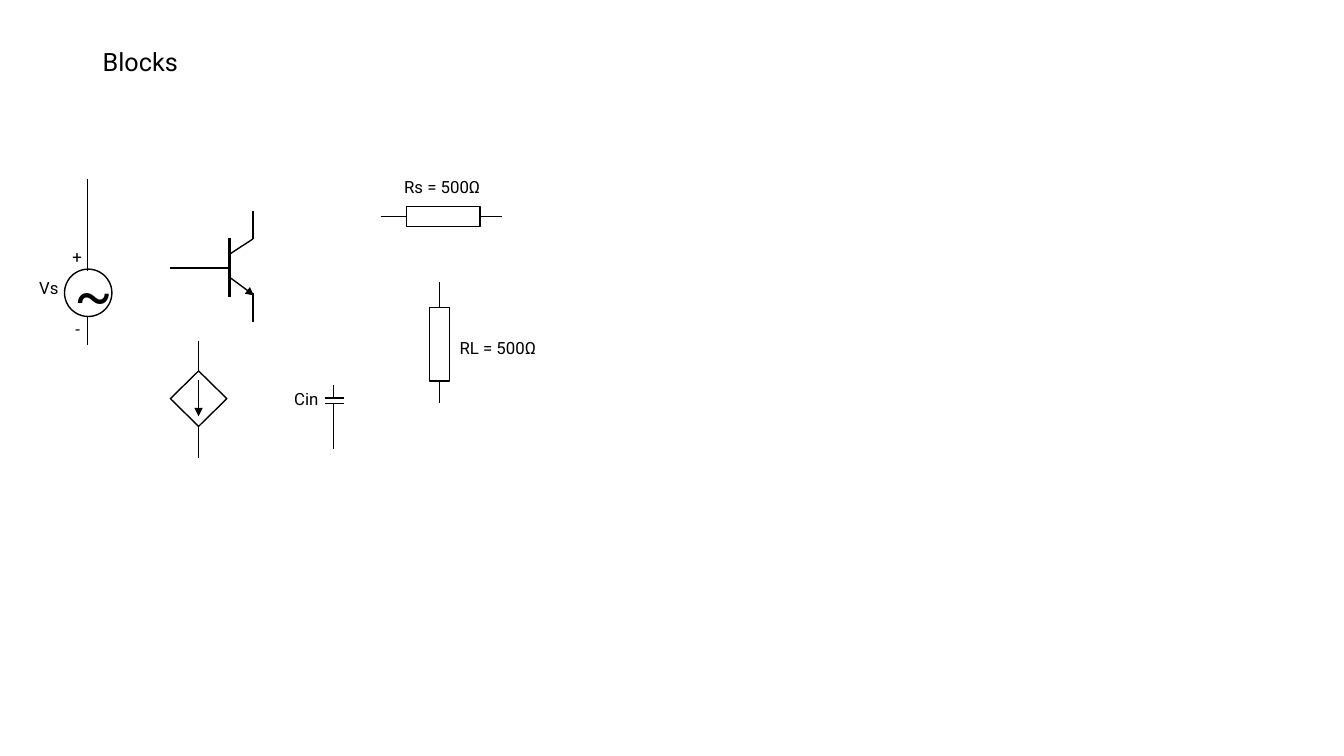
from dataclasses import dataclass

from lxml import etree
from pptx import Presentation
from pptx.dml.color import RGBColor
from pptx.enum.shapes import MSO_CONNECTOR, MSO_SHAPE
from pptx.enum.text import MSO_ANCHOR, MSO_AUTO_SIZE
from pptx.oxml.ns import qn
from pptx.util import Pt

EMU_PER_PX = 9144
STRAIGHT = MSO_CONNECTOR.STRAIGHT
RECTANGLE = MSO_SHAPE.RECTANGLE
DIAMOND = MSO_SHAPE.DIAMOND
CIRCLE = MSO_SHAPE.FLOWCHART_CONNECTOR
TOP, LEFT, BOTTOM, RIGHT = range(4)


@dataclass(frozen=True)
class Theme:
    ink: RGBColor = RGBColor(0, 0, 0)
    font: str = "Roboto"
    title: int = 18
    label: int = 12
    wave: int = 40
    thin: float = 1
    thick: float = 2.25


THEME = Theme()


def px(*lengths):
    return [length * EMU_PER_PX for length in lengths]


def add_label(parent, text, box, size=THEME.label):
    label = parent.shapes.add_textbox(*px(*box))
    frame = label.text_frame
    frame.word_wrap = True
    frame.auto_size = MSO_AUTO_SIZE.SHAPE_TO_FIT_TEXT
    run = frame.paragraphs[0].add_run()
    run.text = text
    run.font.name = THEME.font
    run.font.size = Pt(size)
    run.font.color.rgb = THEME.ink
    return frame


def add_body(parent, kind, box):
    body = parent.shapes.add_shape(kind, *px(*box))
    body.shadow.inherit = False
    body.fill.background()
    body.line.color.rgb = THEME.ink
    body.line.width = Pt(THEME.thin)
    return body


def add_wire(parent, start, end, width=THEME.thin, arrow=False):
    wire = parent.shapes.add_connector(STRAIGHT, *px(*start, *end))
    wire.line.color.rgb = THEME.ink
    wire.line.width = Pt(width)
    if arrow:
        etree.SubElement(wire.line._get_or_add_ln(), qn("a:tailEnd"), type="triangle")
    etree.SubElement(wire._element.spPr, qn("a:effectLst"))
    return wire


def add_title(slide):
    frame = add_label(slide, "Blocks", (92, 40, 1150, 41), THEME.title)
    frame.auto_size = MSO_AUTO_SIZE.NONE
    frame.vertical_anchor = MSO_ANCHOR.BOTTOM
    frame.paragraphs[0].line_spacing = 0.9


def add_transistor(slide):
    transistor = slide.shapes.add_group_shape()
    add_wire(transistor, (228, 236), (228, 295), THEME.thick)
    add_wire(transistor, (169, 266), (228, 266))
    add_wire(transistor, (228, 252), (251, 237))
    add_wire(transistor, (251, 209), (251, 237))
    add_wire(transistor, (229, 276), (252, 293), arrow=True)
    add_wire(transistor, (251, 291), (251, 319))


def add_horizontal_resistor(slide, text, body_box, label_box):
    resistor = slide.shapes.add_group_shape()
    left, top, width, height = body_box
    middle, right = top + height // 2, left + width
    body = add_body(resistor, RECTANGLE, body_box)
    add_wire(resistor, (right, middle), (right + 22, middle)).begin_connect(body, RIGHT)
    add_wire(resistor, (left - 25, middle), (left, middle)).end_connect(body, LEFT)
    add_label(resistor, text, label_box)


def add_vertical_leads(parent, body, body_box, above, below):
    left, top, width, height = body_box
    middle, bottom = left + width // 2, top + height
    add_wire(parent, (middle, top - above), (middle, top)).end_connect(body, TOP)
    add_wire(parent, (middle, bottom), (middle, bottom + below)).begin_connect(body, BOTTOM)


def add_vertical_resistor(slide, text, body_box, label_box):
    resistor = slide.shapes.add_group_shape()
    body = add_body(resistor, RECTANGLE, body_box)
    add_vertical_leads(resistor, body, body_box, 25, 22)
    add_label(resistor, text, label_box)


def add_voltage_source(slide):
    source = slide.shapes.add_group_shape()
    add_body(source, CIRCLE, (64, 267, 47, 47))
    add_label(source, "Vs", (29, 271, 49, 30))
    add_wire(source, (87, 314), (87, 342))
    add_label(source, "~", (64, 253, 44, 77), THEME.wave)
    add_label(source, "+", (62, 240, 28, 30))
    add_label(source, "-", (65, 311, 27, 30))
    add_wire(source, (87, 178), (87, 269))


def add_capacitor(slide):
    capacitor = slide.shapes.add_group_shape()
    for plate in (395, 400):
        add_wire(capacitor, (322, plate), (341, plate))
    for start, end in ((382, 395), (401, 414), (409, 445)):
        add_wire(capacitor, (331, start), (331, end))
    add_label(capacitor, "Cin", (282, 381, 53, 30))


def add_current_source(slide):
    source = slide.shapes.add_group_shape()
    body_box = (169, 368, 56, 55)
    body = add_body(source, DIAMOND, body_box)
    add_wire(source, (197, 377), (197, 413), arrow=True)
    add_vertical_leads(source, body, body_box, 30, 31)


def main():
    deck = Presentation()
    deck.slide_width, deck.slide_height = px(1333, 750)
    slide = deck.slides.add_slide(deck.slide_layouts[6])
    add_title(slide)
    add_transistor(slide)
    add_horizontal_resistor(slide, "Rs = 500Ω", (403, 205, 73, 20), (391, 170, 112, 30))
    add_vertical_resistor(slide, "RL = 500Ω", (426, 305, 20, 73), (446, 330, 112, 30))
    add_voltage_source(slide)
    add_capacitor(slide)
    add_current_source(slide)
    deck.save("out.pptx")


if __name__ == "__main__":
    main()
